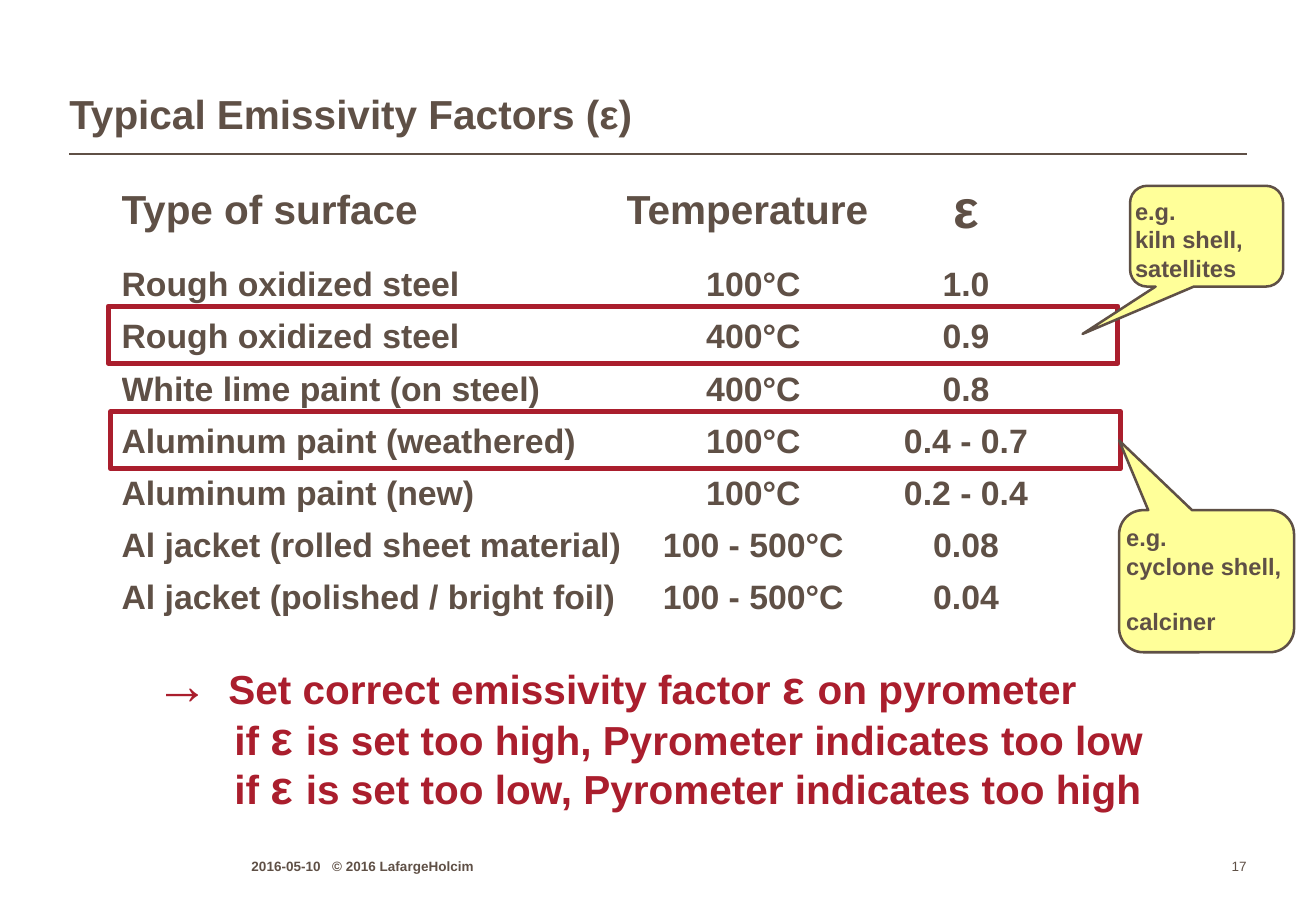
"""Build the slide on typical emissivity factors of surfaces."""
from lxml.etree import SubElement
from pptx import Presentation
from pptx.dml.color import RGBColor
from pptx.enum.shapes import MSO_CONNECTOR, MSO_SHAPE
from pptx.enum.text import MSO_ANCHOR, PP_ALIGN
from pptx.oxml.ns import qn
from pptx.util import Inches, Pt

BROWN = RGBColor(0x5F, 0x50, 0x46)
RED = RGBColor(0xAA, 0x1E, 0x2D)
YELLOW = RGBColor(0xFF, 0xFF, 0x99)


def write(paragraph, text, size=20, color=BROWN, bold=True, align=PP_ALIGN.LEFT):
    paragraph.alignment = align
    run = paragraph.add_run()
    run.text = text
    run.font.name = "Arial"
    run.font.size = Pt(size)
    run.font.bold = bold
    run.font.color.rgb = color


def set_frame(frame, anchor, side=0, vertical=0):
    frame.word_wrap = True
    frame.vertical_anchor = anchor
    frame.margin_left = frame.margin_right = Inches(side)
    frame.margin_top = frame.margin_bottom = Inches(vertical)


prs = Presentation()
prs.slide_width, prs.slide_height = Inches(10.83), Inches(7.5)
slide = prs.slides.add_slide(prs.slide_layouts[5])
shapes = slide.shapes

rule = shapes.add_connector(
    MSO_CONNECTOR.STRAIGHT, Inches(0.57), Inches(1.27), Inches(10.26), Inches(1.27))
rule.line.color.rgb = BROWN
rule.line.width = Pt(1)
SubElement(rule._element.spPr, qn("a:effectLst"))

title = shapes.title
title.left, title.top = Inches(0.57), Inches(0.21)
title.width, title.height = Inches(9.69), Inches(0.93)
set_frame(title.text_frame, MSO_ANCHOR.BOTTOM)
title_line = title.text_frame.paragraphs[0]
title_line.line_spacing = 0.95
write(title_line, "Typical Emissivity Factors (ε)", size=24)

surfaces = [
    ("Type of surface", "Temperature", "ε"),
    ("Rough oxidized steel", "100°C", "1.0"),
    ("Rough oxidized steel", "400°C", "0.9"),
    ("White lime paint (on steel)", "400°C", "0.8"),
    ("Aluminum paint (weathered)", "100°C", "0.4 - 0.7"),
    ("Aluminum paint (new)", "100°C", "0.2 - 0.4"),
    ("Al jacket (rolled sheet material)", "100 - 500°C", "0.08"),
    ("Al jacket (polished / bright foil)", "100 - 500°C", "0.04"),
]
emissivity = shapes.add_table(
    len(surfaces), 3, Inches(1), Inches(1.33), Inches(7.65), Inches(3.81)).table
emissivity.first_row = emissivity.horz_banding = False
for column, width in zip(emissivity.columns, (4.15, 2.1, 1.4)):
    column.width = Inches(width)
for row_index, values in enumerate(surfaces):
    is_header = row_index == 0
    emissivity.rows[row_index].height = Inches(0.8 if is_header else 0.43)
    for column_index, value in enumerate(values):
        cell = emissivity.cell(row_index, column_index)
        cell.fill.background()
        cell.vertical_anchor = MSO_ANCHOR.MIDDLE
        cell.margin_left = cell.margin_right = cell.margin_top = cell.margin_bottom = 0
        is_left = column_index == 0 or (is_header and column_index == 1)
        write(cell.text_frame.paragraphs[0], value,
              size=32 if value == "ε" else 24 if is_header else 20,
              align=PP_ALIGN.LEFT if is_left else PP_ALIGN.CENTER)

conclusion = shapes.add_textbox(
    Inches(1.28), Inches(5.49), Inches(8.7), Inches(1.25)).text_frame
set_frame(conclusion, MSO_ANCHOR.TOP)
advice = [
    ("→\t", "Set correct emissivity factor ", "on pyrometer", 0.6, -0.6),
    ("", "if ", "is set too high, Pyrometer indicates too low", 0.65, 0),
    ("", "if ", "is set too low, Pyrometer indicates too high", 0.65, 0),
]
for index, (arrow, before, after, margin, indent) in enumerate(advice):
    line = conclusion.add_paragraph() if index else conclusion.paragraphs[0]
    line.line_spacing = Pt(29)
    properties = line._p.get_or_add_pPr()
    properties.set("marL", str(Inches(margin)))
    properties.set("indent", str(Inches(indent)))
    if arrow:
        write(line, arrow, size=32, color=RED)
    for text, size in ((before, 24), ("ε ", 28), (after, 24)):
        write(line, text, size=size, color=RED)

examples = [
    ((0.89, 2.52), (9.3, 1.53, 1.26, 0.83), (-0.81, 0.97, 0.17),
     ("e.g.", "kiln shell,", "satellites"), 0),
    ((0.91, 3.39), (9.21, 4.2, 1.44, 1.17), (-0.5, -0.99, 0.17),
     ("e.g.", "cyclone shell,", "calciner"), 16),
]
for (left, top), callout_box, pointer, lines, last_gap in examples:
    highlight = shapes.add_shape(
        MSO_SHAPE.RECTANGLE, Inches(left), Inches(top), Inches(8.31), Inches(0.47))
    highlight.shadow.inherit = False
    highlight.fill.background()
    highlight.line.color.rgb = RED
    highlight.line.width = Pt(3)

    callout = shapes.add_shape(
        MSO_SHAPE.ROUNDED_RECTANGULAR_CALLOUT, *map(Inches, callout_box))
    callout.shadow.inherit = False
    callout.fill.solid()
    callout.fill.fore_color.rgb = YELLOW
    callout.line.color.rgb = BROWN
    callout.line.width = Pt(1.5)
    for index, value in enumerate(pointer):
        callout.adjustments[index] = value
    set_frame(callout.text_frame, MSO_ANCHOR.TOP, vertical=0.05)
    for index, text in enumerate(lines):
        line = callout.text_frame.add_paragraph() if index else callout.text_frame.paragraphs[0]
        if last_gap and index == len(lines) - 1:
            line.space_before = Pt(last_gap)
        write(line, text, size=14)

footers = [
    ("2016-05-10   © 2016 LafargeHolcim", 2.07, 3.46, True, PP_ALIGN.LEFT),
    ("17", 9.79, 0.47, False, PP_ALIGN.RIGHT),
]
for text, left, width, bold, align in footers:
    footer = shapes.add_textbox(
        Inches(left), Inches(7.02), Inches(width), Inches(0.18)).text_frame
    set_frame(footer, MSO_ANCHOR.BOTTOM)
    write(footer.paragraphs[0], text, size=8, bold=bold, align=align)

prs.save("out.pptx")
